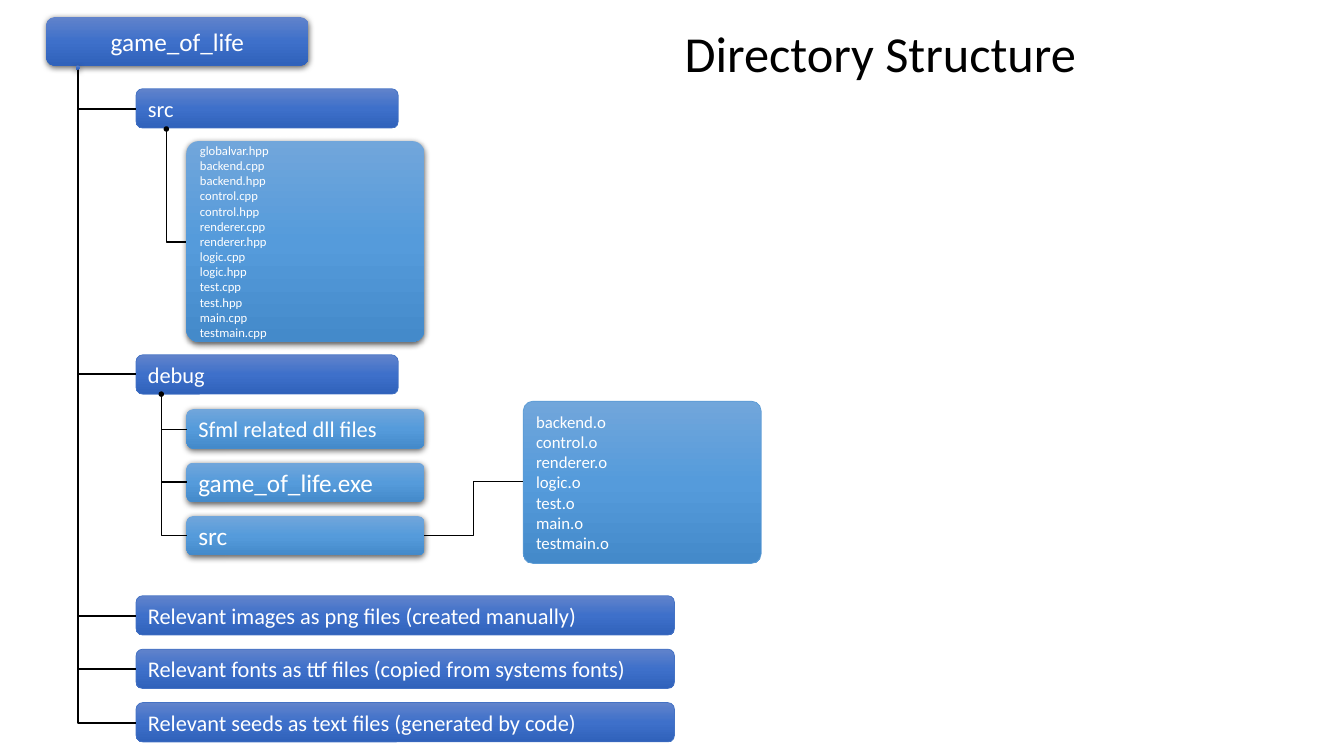
"""Build a slide that shows the directory structure of a project as a tree."""
import lxml.etree
import pptx
import pptx.dml.color
import pptx.enum.shapes
import pptx.enum.text
import pptx.oxml.ns
import pptx.util

PX = 9144
FONT = "Calibri"
RGB = pptx.dml.color.RGBColor
BLACK = RGB(0x00, 0x00, 0x00)
WHITE = RGB(0xFF, 0xFF, 0xFF)
ROYAL_LINE = RGB(0x44, 0x72, 0xC4)
SKY_LINE = RGB(0x5B, 0x9B, 0xD5)
ROYAL = (RGB(0x61, 0x83, 0xCB), RGB(0x3E, 0x70, 0xCA), RGB(0x30, 0x62, 0xBB))
SKY = (RGB(0x71, 0xA6, 0xDB), RGB(0x55, 0x9B, 0xDB), RGB(0x44, 0x8A, 0xCA))
LEFT = pptx.enum.text.PP_ALIGN.LEFT
CENTER = pptx.enum.text.PP_ALIGN.CENTER
TOP = pptx.enum.text.MSO_ANCHOR.TOP
MIDDLE = pptx.enum.text.MSO_ANCHOR.MIDDLE
ROUNDED = pptx.enum.shapes.MSO_SHAPE.ROUNDED_RECTANGLE
OVAL = pptx.enum.shapes.MSO_SHAPE.OVAL
ELBOW = pptx.enum.shapes.MSO_CONNECTOR.ELBOW
qn = pptx.oxml.ns.qn


def write(sp, text, size=16, color=WHITE, align=LEFT, anchor=MIDDLE, wrap=True):
    tf = sp.text_frame
    tf.text = text
    tf.word_wrap = wrap
    tf.vertical_anchor = anchor
    for p in tf.paragraphs:
        p.alignment = align
        p.font.name = FONT
        p.font.size = pptx.util.Pt(size)
        p.font.color.rgb = color


def add_elbow(x1, y1, x2, y2, width):
    c = slide.shapes.add_connector(ELBOW, *(round(v * PX) for v in (x1, y1, x2, y2)))
    c.line.color.rgb = BLACK
    c.line.width = pptx.util.Pt(width)
    lxml.etree.SubElement(c._element.spPr, qn("a:effectLst"))
    return c


prs = pptx.Presentation()
prs.slide_width = 1333 * PX
prs.slide_height = 750 * PX
slide = prs.slides.add_slide(prs.slide_layouts[5])

title = slide.shapes.title
title.left, title.top, title.width, title.height = (v * PX for v in (669, 17, 409, 71))
write(title, "Directory Structure", size=36, color=BLACK, anchor=TOP, wrap=False)
title.text_frame.auto_size = pptx.enum.text.MSO_AUTO_SIZE.NONE

sources = ["globalvar.hpp"]
for module in ("backend", "control", "renderer", "logic", "test"):
    sources += [f"{module}.cpp", f"{module}.hpp"]
sources += ["main.cpp", "testmain.cpp"]
objects = ["backend.o", "control.o", "renderer.o", "logic.o", "test.o", "main.o", "testmain.o"]

boxes = [
    (ROUNDED, 46, 17, 260, 48, "game_of_life", 18, ROYAL, None),
    (OVAL, 75, 65, 4, 4, "", 18, ROYAL, None),
    (ROUNDED, 135, 88, 260, 39, "src", 16, ROYAL, ROYAL_LINE),
    (ROUNDED, 135, 352, 260, 39, "debug", 16, ROYAL, ROYAL_LINE),
    (ROUNDED, 185, 140, 236, 199, "\n".join(sources), 9, SKY, None),
    (ROUNDED, 519, 398, 236, 161, "\n".join(objects), 12, SKY, SKY_LINE),
]
resources = [
    "Relevant images as png files (created manually)",
    "Relevant fonts as ttf files (copied from systems fonts)",
    "Relevant seeds as text files (generated by code)",
]
for i, text in enumerate(resources):
    boxes.append((ROUNDED, 135, 591 + 53 * i, 534, 39, text, 16, ROYAL, ROYAL_LINE))
builds = [("Sfml related dll files", 16), ("game_of_life.exe", 18), ("src", 18)]
for i, (text, size) in enumerate(builds):
    boxes.append((ROUNDED, 185, 406 + 53 * i, 236, 39, text, size, SKY, None))

for kind, x, y, w, h, text, size, gradient, outline in boxes:
    sp = slide.shapes.add_shape(kind, x * PX, y * PX, w * PX, h * PX)
    if h > 100:
        sp.adjustments[0] = 0.06
    sp.fill.gradient()
    sp.fill.gradient_angle = 270
    stops = sp._element.spPr.find(".//" + qn("a:gsLst"))
    stops.clear()
    for pos, color in zip((0, 50000, 100000), gradient):
        stop = lxml.etree.SubElement(stops, qn("a:gs"), pos=str(pos))
        lxml.etree.SubElement(stop, qn("a:srgbClr"), val=str(color))
    sp.shadow.inherit = False
    if outline:
        sp.line.color.rgb = outline
        sp.line.width = pptx.util.Pt(0.5)
    else:
        sp.line.fill.background()
        effects = sp._element.spPr.find(qn("a:effectLst"))
        shadow = lxml.etree.SubElement(effects, qn("a:outerShdw"), blurRad="57150", dist="19050",
                                       dir="5400000", algn="ctr", rotWithShape="0")
        shade = lxml.etree.SubElement(shadow, qn("a:srgbClr"), val=str(BLACK))
        lxml.etree.SubElement(shade, qn("a:alpha"), val="63000")
    if text:
        write(sp, text, size=size, align=CENTER if text == "game_of_life" else LEFT)

for x, y in ((163, 126), (158, 389)):
    dot = slide.shapes.add_shape(OVAL, x * PX, y * PX, 4 * PX, 4 * PX)
    dot.shadow.inherit = False
    dot.fill.solid()
    dot.fill.fore_color.rgb = BLACK
    dot.line.color.rgb = BLACK
    dot.line.width = pptx.util.Pt(1)

trunks = [
    (77, 69, 135, (108, 371, 611, 664, 717), 1.5),
    (165, 130, 185, (240,), 1),
    (160, 393, 185, (426, 478, 531), 1),
]
for x, top, right, branches, width in trunks:
    for y in branches:
        cx, cy = (x + right) / 2, (top + y) / 2
        dx, dy = (right - x) / 2, (y - top) / 2
        c = add_elbow(cx - dy, cy - dx, cx + dy, cy + dx, width)
        c._element.spPr.find(qn("a:prstGeom")).set("prst", "bentConnector2")
        xfrm = c._element.spPr.find(qn("a:xfrm"))
        xfrm.set("rot", "16200000")
        xfrm.set("flipH", "1")
add_elbow(421, 531, 519, 478, 0.5)

prs.save("out.pptx")
